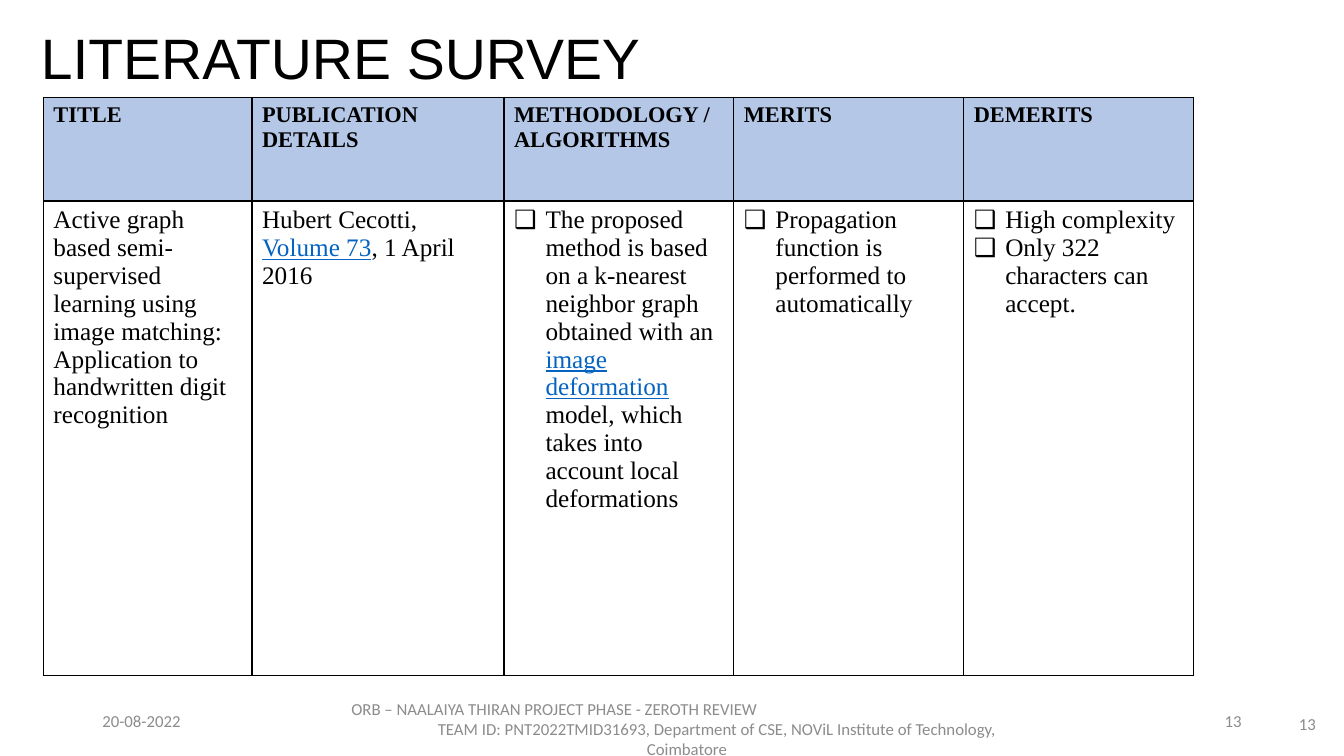
from lxml.etree import SubElement
from pptx import Presentation
from pptx.dml.color import RGBColor
from pptx.enum.text import MSO_ANCHOR as Anchor, PP_ALIGN as Align
from pptx.oxml.ns import qn
from pptx.util import Pt

BLACK = RGBColor(0x00, 0x00, 0x00)
GRAY = RGBColor(0x8C, 0x8C, 0x8C)
LINK_BLUE = RGBColor(0x05, 0x63, 0xC1)
HEADER_BLUE = RGBColor(0xB4, 0xC7, 0xE7)
SERIF = "Times New Roman"
INDENT = 22.5
COLUMN_WIDTHS = [149, 180, 164.2, 164.2, 164.2]
ROW_HEIGHTS = [74.2, 339]
HEADERS = ["TITLE", "PUBLICATION DETAILS", "METHODOLOGY /ALGORITHMS", "MERITS", "DEMERITS"]


def write_text(paragraph, text, font="Calibri", size=12, color=GRAY, bold=False, underline=False):
    """Append a formatted run to the paragraph."""
    run = paragraph.add_run()
    run.text = text
    run.font.name = font
    run.font.size = Pt(size)
    run.font.color.rgb = color
    run.font.bold = bold
    run.font.underline = underline


def indent(paragraph, left, first=0, bullet=None):
    """Set the paragraph's indents and its optional bullet."""
    properties = paragraph._p.get_or_add_pPr()
    properties.set("marL", str(Pt(left)))
    properties.set("indent", str(Pt(first)))
    if bullet:
        SubElement(properties, qn("a:buFont"), typeface="Arial")
        SubElement(properties, qn("a:buChar"), char=bullet)


def add_text_box(slide, left, top, width, height, lines, align=Align.LEFT, **style):
    """Add a vertically centred text box and return its paragraphs."""
    frame = slide.shapes.add_textbox(Pt(left), Pt(top), Pt(width), Pt(height)).text_frame
    frame.word_wrap = True
    frame.vertical_anchor = Anchor.MIDDLE
    for index, line in enumerate(lines):
        paragraph = frame.add_paragraph() if index else frame.paragraphs[0]
        paragraph.alignment = align
        write_text(paragraph, line, **style)
    return frame.paragraphs


def add_borders(cell):
    """Draw a thin black line on each side of the cell."""
    properties = cell._tc.get_or_add_tcPr()
    for position, side in enumerate(("a:lnL", "a:lnR", "a:lnT", "a:lnB")):
        line = properties.makeelement(qn(side), {"w": str(Pt(1))})
        properties.insert(position, line)
        fill = SubElement(line, qn("a:solidFill"))
        SubElement(fill, qn("a:srgbClr"), val=str(BLACK))


def fill_cell(cell, paragraphs, size=18, bold=False):
    """Write (bullet, left indent, runs) paragraphs, where a run is (text, is_link)."""
    for index, (bullet, left, runs) in enumerate(paragraphs):
        paragraph = cell.text_frame.add_paragraph() if index else cell.text_frame.paragraphs[0]
        indent(paragraph, left, -left if bullet else 0, bullet)
        for text, is_link in runs:
            write_text(paragraph, text, font=SERIF, size=size, bold=bold,
                       color=LINK_BLUE if is_link else BLACK, underline=is_link)


def plain(text):
    """Describe an unindented paragraph."""
    return (None, 0, [(text, False)])


def bulleted(*runs):
    """Describe a paragraph with a box bullet."""
    return ("❑", INDENT, list(runs))


def add_survey_table(slide, rows):
    """Add the table with a tinted header row."""
    shape = slide.shapes.add_table(len(rows), len(COLUMN_WIDTHS), Pt(31), Pt(69.4),
                                   Pt(sum(COLUMN_WIDTHS)), Pt(sum(ROW_HEIGHTS)))
    table = shape.table
    for column, width in zip(table.columns, COLUMN_WIDTHS):
        column.width = Pt(width)
    for row_index, contents in enumerate(rows):
        is_header = row_index == 0
        table.rows[row_index].height = Pt(ROW_HEIGHTS[row_index])
        for column_index, paragraphs in enumerate(contents):
            cell = table.cell(row_index, column_index)
            if is_header:
                cell.fill.solid()
                cell.fill.fore_color.rgb = HEADER_BLUE
            else:
                cell.fill.background()
            add_borders(cell)
            fill_cell(cell, paragraphs, size=16 if is_header else 18, bold=is_header)


def main():
    """Build the literature survey slide."""
    presentation = Presentation()
    presentation.slide_width, presentation.slide_height = Pt(960), Pt(540)
    slide = presentation.slides.add_slide(presentation.slide_layouts[6])

    title = add_text_box(slide, 22.2, 21, 829, 48, ["LITERATURE SURVEY"],
                         font="Arial", size=40.7, color=BLACK)
    title[0].line_spacing = 0.8

    paper = [
        [plain("Active graph based semi-supervised learning using image matching: "
               "Application to handwritten digit recognition")],
        [(None, 0, [("Hubert Cecotti, ", False), ("Volume 73", True), (", 1 April 2016", False)])],
        [bulleted(("The proposed method is based on a k-nearest neighbor graph "
                   "obtained with an ", False), ("image deformation", True)),
         (None, INDENT, [("model, which takes into account local deformations", False)])],
        [bulleted(("Propagation function is performed to automatically", False))],
        [bulleted(("High complexity", False)),
         bulleted(("Only 322 characters can accept.", False))],
    ]
    add_survey_table(slide, [[[plain(header)] for header in HEADERS], paper])

    footer = add_text_box(slide, 241.2, 506, 499, 28.8, [
        "ORB – NAALAIYA THIRAN PROJECT PHASE - ZEROTH REVIEW",
        "TEAM ID: PNT2022TMID31693, Department of CSE, NOViL Institute of Technology,",
        "Coimbatore"], align=Align.CENTER)
    footer[0].alignment = Align.LEFT
    indent(footer[0], 2.7)
    indent(footer[1], 43)
    add_text_box(slide, 66, 500.4, 216, 28.8, ["20-08-2022"])
    add_text_box(slide, 678, 500.4, 216, 28.8, ["13"], align=Align.RIGHT)
    add_text_box(slide, 903, 502.6, 44, 28.8, ["13"], align=Align.RIGHT)
    presentation.save("out.pptx")


if __name__ == "__main__":
    main()
